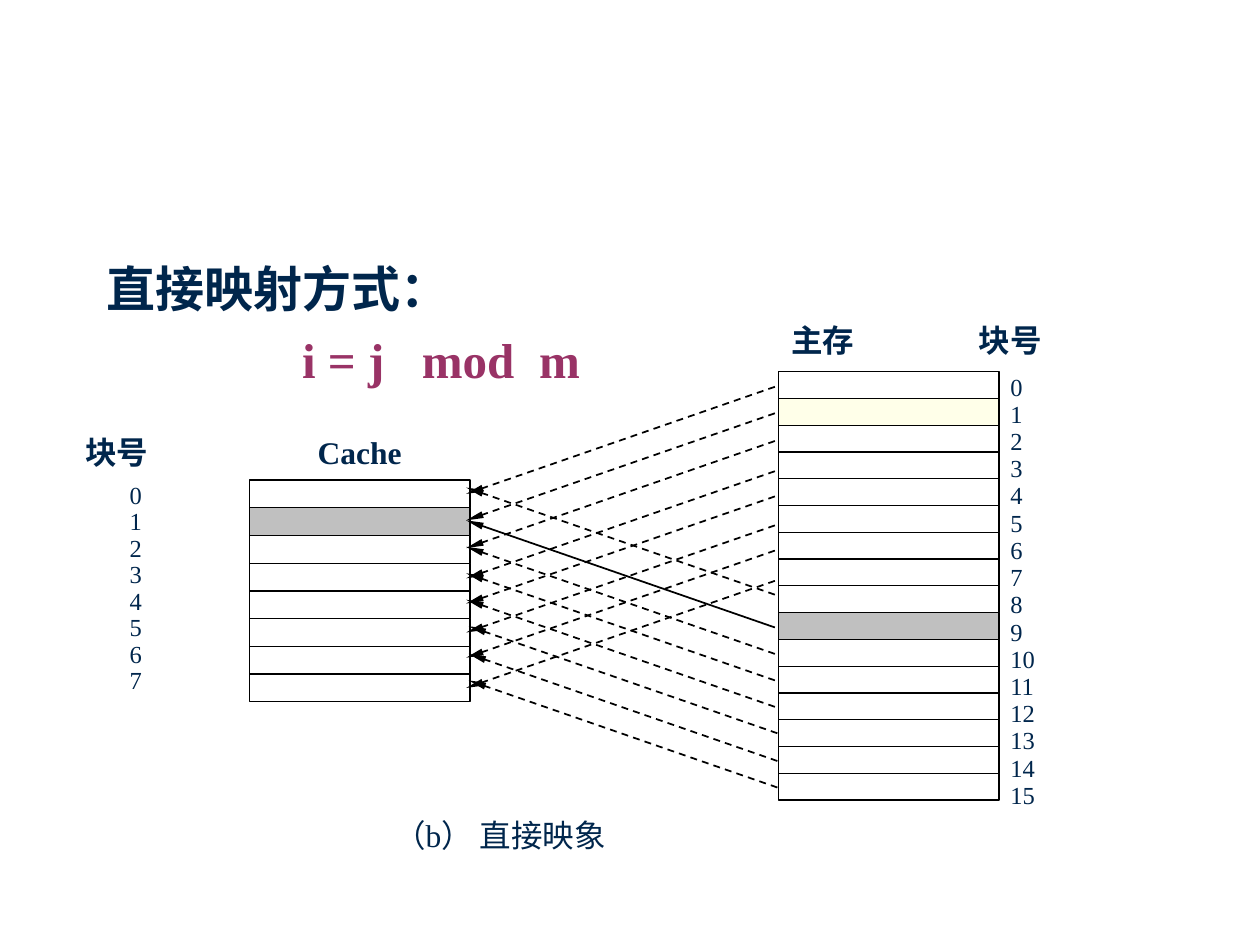
from lxml import etree
from pptx import Presentation
from pptx import util as u
from pptx.dml.color import RGBColor
from pptx.enum import dml, shapes, text
from pptx.oxml import ns

FONT = "Times New Roman"
NAVY, PLUM, BLACK, GREY, CREAM = "00264C", "993366", "000000", "C0C0C0", "FFFFE9"
JUSTIFY, CENTER = text.PP_ALIGN.JUSTIFY, text.PP_ALIGN.CENTER
MEMORY_EXITS = [3.07, 3.28, 3.5, 3.74, 3.94, 4.17, 4.37, 4.61,
                4.72, 4.98, 5.19, 5.4, 5.61, 5.82, 6.04, 6.25]
ARROW_DROP = 0.85
CACHE_BLOCKS = 8


def color(value):
    """Turn a hex string into a colour."""
    return RGBColor.from_string(value)


def add_span(para, words, size, hue=NAVY, bold=False):
    """Append one formatted run to a paragraph."""
    span = para.add_run()
    span.text = words
    span.font.name = FONT
    span.font.size = u.Pt(size)
    span.font.bold = bold
    span.font.color.rgb = color(hue)


def add_frame(page, left, top, width, height):
    """Add a wrapping text box and return its text frame."""
    box = page.shapes.add_textbox(*map(u.Inches, (left, top, width, height)))
    box.text_frame.word_wrap = True
    return box.text_frame


def add_label(page, left, top, width, words, size=18, bold=False, align=JUSTIFY):
    """Add a one-line label."""
    para = add_frame(page, left, top, width, 0.32).paragraphs[0]
    para.alignment = align
    add_span(para, words, size, bold=bold)


def add_heading(page, left, top, width, height):
    """Write the heading and the tabbed mapping formula below it."""
    frame = add_frame(page, left, top, width, height)
    add_span(frame.paragraphs[0], "直接映射方式：", 28, bold=True)
    formula = frame.add_paragraph()
    tabs = etree.SubElement(formula._p.get_or_add_pPr(), ns.qn("a:tabLst"))
    for stop in (1.55, 2.5, 3.43):
        etree.SubElement(tabs, ns.qn("a:tab"), pos=str(u.Inches(stop)), algn="l")
    formula.space_before = u.Pt(7)
    add_span(formula, "\ti = j\tmod\tm", 28, PLUM, True)


def add_blocks(page, left, top, width, height, count, fills):
    """Stack equal blocks in a box, filling the chosen ones."""
    pitch = height / count
    for index in range(count):
        block = page.shapes.add_shape(
            shapes.MSO_SHAPE.RECTANGLE, u.Inches(left), u.Inches(top + index * pitch),
            u.Inches(width), u.Inches(pitch))
        block.shadow.inherit = False
        block.line.color.rgb = color(BLACK)
        block.line.width = u.Pt(0.75)
        if index in fills:
            block.fill.solid()
            block.fill.fore_color.rgb = color(fills[index])
        else:
            block.fill.background()


def add_numbers(page, left, top, width, pitch, count):
    """Number the blocks of a stack from zero."""
    for index in range(count):
        add_label(page, left, top + index * pitch, width, str(index), 14)


def add_cache(page, left, top, width, height):
    """Draw the cache with its titles and block numbers."""
    add_blocks(page, left, top, width, height, CACHE_BLOCKS, {1: GREY})
    add_numbers(page, left - 1.05, top - 0.05, 1.05, 0.21, CACHE_BLOCKS)
    add_label(page, left - 1.4, top - 0.42, width, "块号", bold=True)
    add_label(page, left, top - 0.42, width, "Cache", bold=True, align=CENTER)


def add_memory(page, left, top, width, height):
    """Draw the main memory with its titles and block numbers."""
    count = len(MEMORY_EXITS)
    add_blocks(page, left, top, width, height, count, {1: CREAM, 9: GREY})
    add_numbers(page, left + 1.74, top - 0.05, 0.66, 0.216, count)
    add_label(page, left, top - 0.45, width, "主存", bold=True)
    add_label(page, left + 1.49, top - 0.45, width, "块号", bold=True)


def add_arrow(page, start, end, dashed):
    """Draw an arrow from a memory block to a cache block."""
    arrow = page.shapes.add_connector(
        shapes.MSO_CONNECTOR.STRAIGHT, *map(u.Inches, start + end))
    arrow.line.color.rgb = color(BLACK)
    arrow.line.width = u.Pt(1)
    if dashed:
        arrow.line.dash_style = dml.MSO_LINE.DASH
    etree.SubElement(arrow.line._get_or_add_ln(), ns.qn("a:tailEnd"),
                     type="triangle", w="sm", len="lg")
    etree.SubElement(arrow._element.spPr, ns.qn("a:effectLst"))


def add_mapping(page, left, width):
    """Link every memory block to its cache block."""
    for index, exit_y in enumerate(MEMORY_EXITS):
        shift = 0.02 if index >= 13 else 0
        drop = ARROW_DROP if index < CACHE_BLOCKS else -ARROW_DROP
        add_arrow(page, (left + width + shift, exit_y),
                  (left + shift, exit_y + drop), index != 9)


def main():
    """Build and save the slide."""
    deck = Presentation()
    deck.slide_width, deck.slide_height = u.Inches(10), u.Inches(7.5)
    page = deck.slides.add_slide(deck.slide_layouts[6])
    add_heading(page, 0.75, 2, 8.5, 4.67)
    add_label(page, 3.03, 6.43, 2.14, "（b） 直接映象")
    add_cache(page, 1.98, 3.81, 1.75, 1.76)
    add_memory(page, 6.18, 2.95, 1.75, 3.4)
    add_mapping(page, 3.7, 2.45)
    deck.save("out.pptx")


if __name__ == "__main__":
    main()
